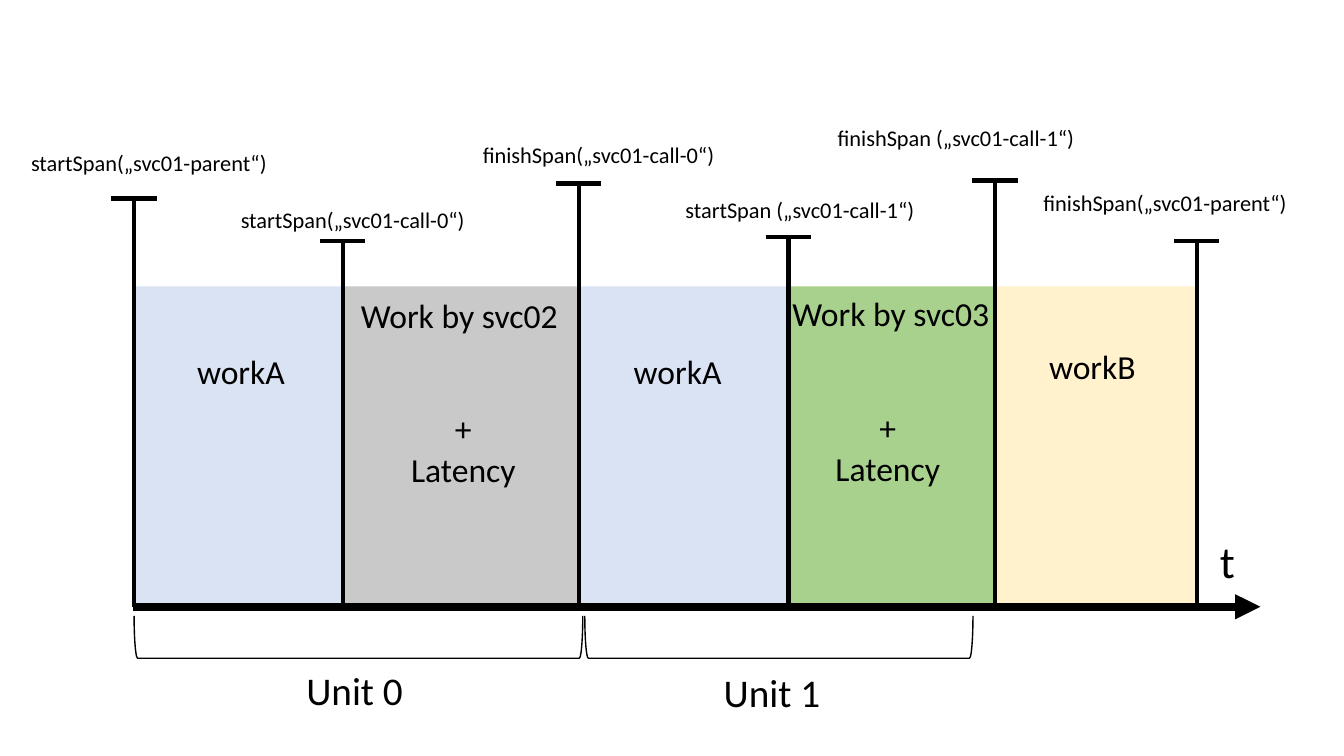
import pptx
import pptx.dml.color
import pptx.enum.shapes
import pptx.enum.text
import pptx.util
from lxml import etree
from pptx.oxml.ns import qn
from pptx.util import Inches

BLACK = pptx.dml.color.RGBColor(0x00, 0x00, 0x00)
BLUE = pptx.dml.color.RGBColor(0xDA, 0xE3, 0xF3)
GRAY = pptx.dml.color.RGBColor(0xC9, 0xC9, 0xC9)
GREEN = pptx.dml.color.RGBColor(0xA9, 0xD1, 0x8E)
YELLOW = pptx.dml.color.RGBColor(0xFF, 0xF2, 0xCC)

AXIS_Y = 6.02
TICK_HALF = 0.225
PHASE_TOP = 2.84
PHASE_HEIGHT = 3.15

# Left edge, right edge, colour
PHASES = [
    (9.88, 11.87, YELLOW),
    (5.75, 7.83, BLUE),
    (1.32, 3.40, BLUE),
    (3.40, 5.73, GRAY),
    (7.82, 9.87, GREEN),
]

# Marker x, marker top, label, label left, label top, label width
EVENTS = [
    (1.33, 1.97, "startSpan(„svc01-parent“)", 0.21, 1.43, 2.57),
    (3.40, 2.39, "startSpan(„svc01-call-0“)", 2.29, 2.00, 2.54),
    (5.74, 1.82, "finishSpan(„svc01-call-0“)", 4.69, 1.35, 3.35),
    (7.82, 2.35, "startSpan („svc01-call-1“)", 6.70, 1.90, 3.27),
    (9.87, 1.79, "finishSpan („svc01-call-1“)", 8.21, 1.18, 3.40),
    (11.87, 2.39, "finishSpan(„svc01-parent“)", 10.25, 1.83, 3.08),
]

# Lines of text, left, top, width, height
PHASE_LABELS = [
    (["workA"], 1.85, 3.43, 1.08, 0.5),
    (["Work by svc02"], 3.47, 2.88, 2.17, 0.5),
    (["+", "Latency"], 3.97, 4.00, 1.25, 0.91),
    (["workA"], 6.18, 3.43, 1.08, 0.5),
    (["Work by svc03"], 7.75, 2.86, 2.17, 0.5),
    (["+", "Latency"], 8.18, 3.99, 1.25, 0.91),
    (["workB"], 10.30, 3.38, 1.07, 0.5),
]

# Name, bracket left, bracket right, name left, name top
UNITS = [
    ("Unit 0", 1.33, 5.78, 2.94, 6.56),
    ("Unit 1", 5.80, 9.65, 7.08, 6.58),
]


class Timeline:
    font = "Calibri"
    color = BLACK

    def __init__(self, page):
        self.page = page

    def phase(self, left, right, fill):
        box = self.page.shapes.add_shape(
            pptx.enum.shapes.MSO_SHAPE.RECTANGLE,
            Inches(left), Inches(PHASE_TOP), Inches(right - left), Inches(PHASE_HEIGHT))
        box.shadow.inherit = False
        box.fill.solid()
        box.fill.fore_color.rgb = fill
        box.line.fill.background()

    def text(self, lines, left, top, width, height, size, wrap=False, centered=False):
        box = self.page.shapes.add_textbox(
            Inches(left), Inches(top), Inches(width), Inches(height))
        frame = box.text_frame
        frame.word_wrap = wrap
        frame.auto_size = pptx.enum.text.MSO_AUTO_SIZE.SHAPE_TO_FIT_TEXT
        para = frame.paragraphs[0]
        if centered:
            para.alignment = pptx.enum.text.PP_ALIGN.CENTER
        for index, line in enumerate(lines):
            if index:
                para.add_line_break()
            span = para.add_run()
            span.text = line
            span.font.name = self.font
            span.font.size = pptx.util.Pt(size)
            span.font.color.rgb = self.color

    def line(self, shapes, start, end, width, arrow=False):
        connector = shapes.add_connector(
            pptx.enum.shapes.MSO_CONNECTOR.STRAIGHT,
            *[Inches(value) for value in (*start, *end)])
        connector.line.color.rgb = self.color
        connector.line.width = pptx.util.Pt(width)
        if arrow:
            outline = connector.line._get_or_add_ln()
            etree.SubElement(outline, qn("a:tailEnd"), type="triangle")
        etree.SubElement(connector._element.spPr, qn("a:effectLst"))

    def marker(self, x, top):
        """Draw a vertical post with a short crossbar, grouped together."""
        group = self.page.shapes.add_group_shape()
        self.line(group.shapes, (x, top), (x, AXIS_Y), 3)
        self.line(group.shapes, (x - TICK_HALF, top), (x + TICK_HALF, top), 3)

    def bracket(self, left, right, top=6.11, depth=0.42):
        """Draw a bracket that opens upwards, by turning a right bracket."""
        span = right - left
        shape = self.page.shapes.add_shape(
            pptx.enum.shapes.MSO_SHAPE.RIGHT_BRACKET,
            Inches((left + right - depth) / 2), Inches(top + (depth - span) / 2),
            Inches(depth), Inches(span))
        shape.rotation = 90
        shape.shadow.inherit = False
        shape.fill.background()
        shape.line.color.rgb = self.color
        shape.line.width = pptx.util.Pt(1)


def main():
    deck = pptx.Presentation()
    deck.slide_width = Inches(13.33)
    deck.slide_height = Inches(7.5)
    page = deck.slides.add_slide(deck.slide_layouts[6])
    timeline = Timeline(page)

    for left, right, fill in PHASES:
        timeline.phase(left, right, fill)

    timeline.line(page.shapes, (1.32, AXIS_Y), (12.5, AXIS_Y), 6, arrow=True)
    timeline.text(["t"], 12, 5.25, 0.35, 0.64, 32)

    for x, marker_top, label, left, top, width in EVENTS:
        timeline.text([label], left, top, width, 0.37, 16, wrap=True)
        timeline.marker(x, marker_top)

    for lines, left, top, width, height in PHASE_LABELS:
        timeline.text(lines, left, top, width, height, 24, centered=True)

    for name, start, end, left, top in UNITS:
        timeline.bracket(start, end)
        timeline.text([name], left, top, 1.17, 0.57, 28)

    deck.save("out.pptx")


if __name__ == "__main__":
    main()
